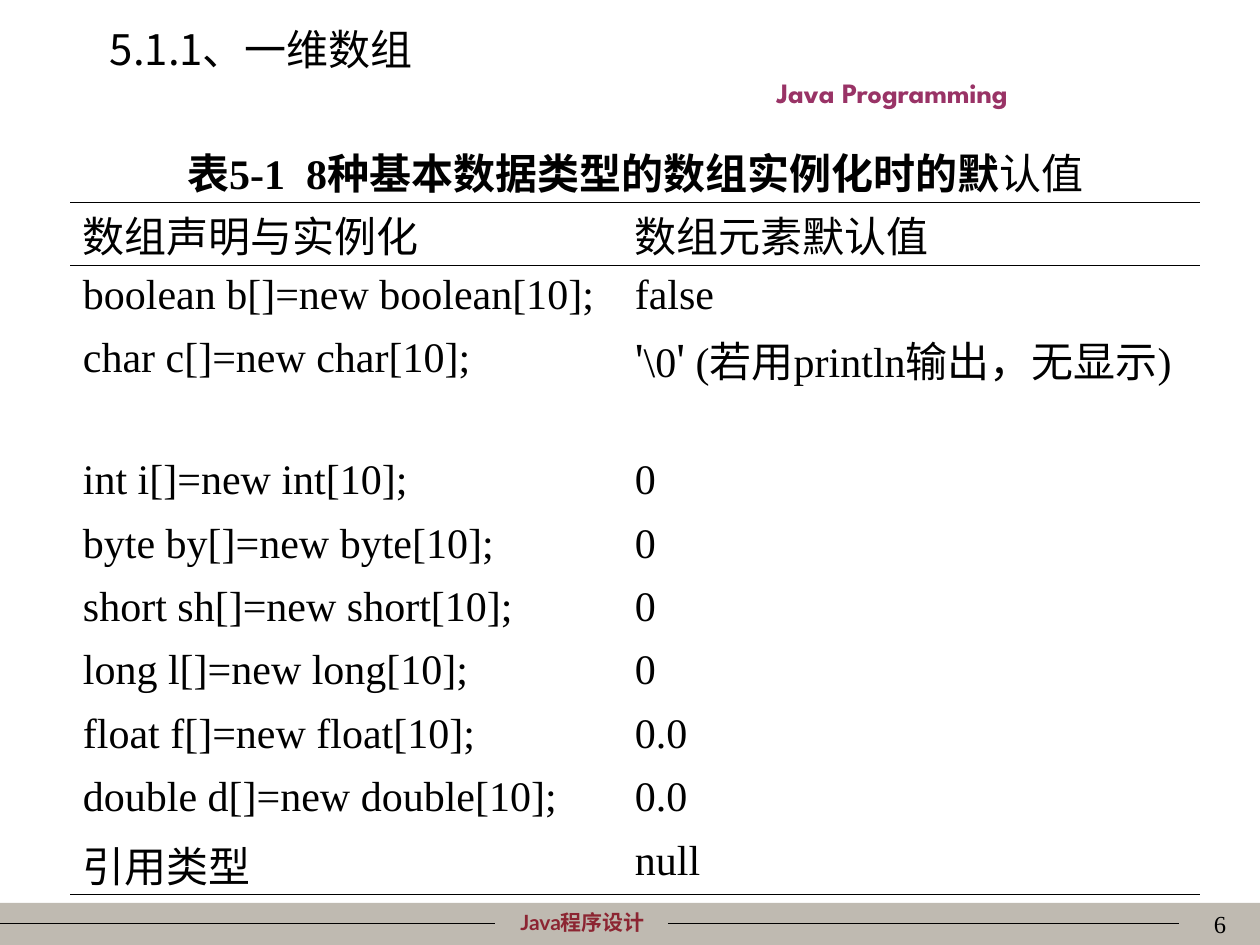
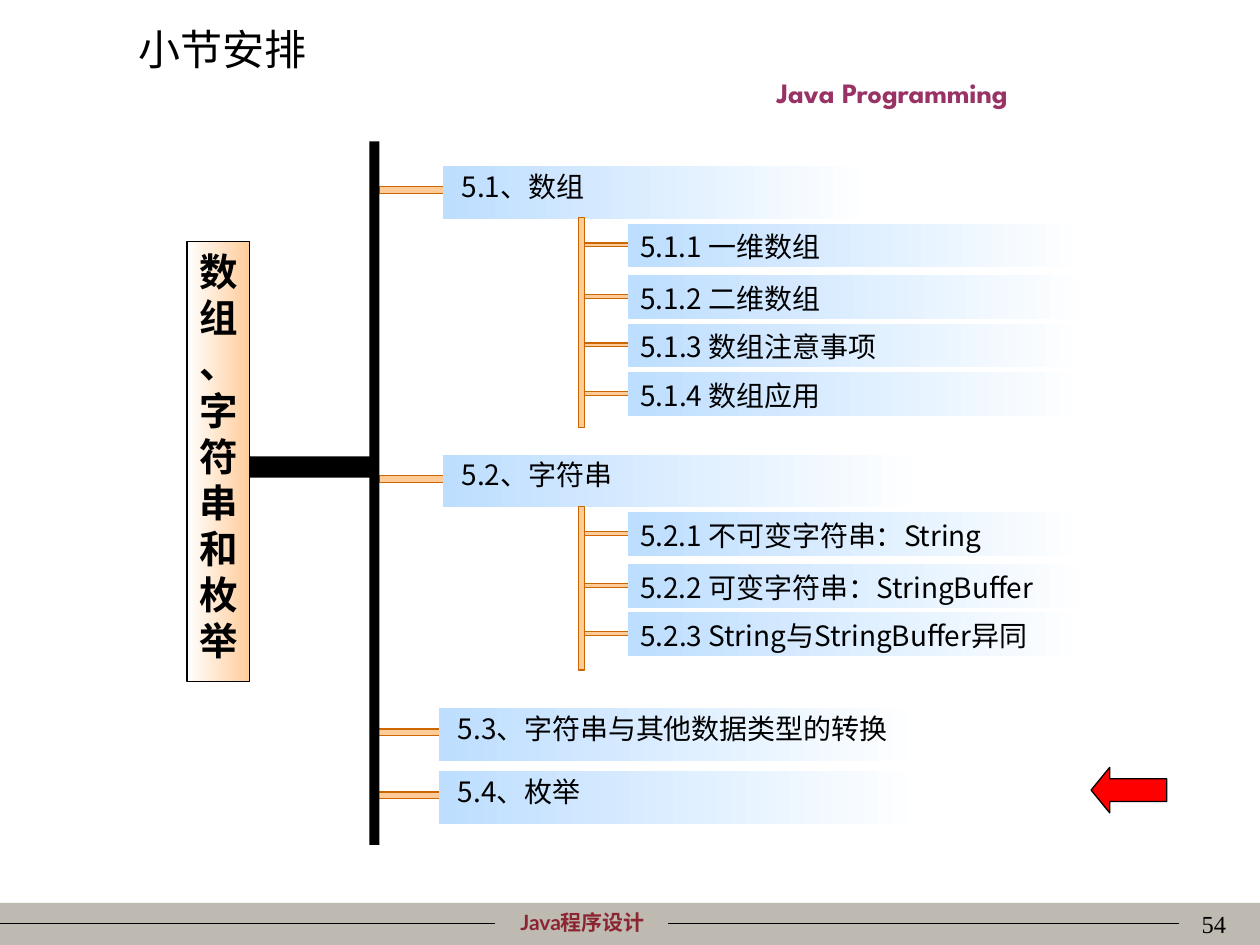
from lxml import etree
from pptx import Presentation
from pptx.dml.color import RGBColor
from pptx.enum import shapes, text
from pptx.oxml import ns
from pptx.util import Pt

THEME = {
    "black": "000000", "white": "FFFFFF", "band": "BFBAB1", "footer": "8C2532",
    "course": "993366", "peach": "FFCC99", "brown": "CC6600", "blue": "BDDEFF",
    "red": "FF0000",
    "sans": "Noto Sans CJK SC", "serif": "Times New Roman",
    "footer_font": "Lato", "course_font": "League Spartan",
    "title_size": 24, "quote_size": 28, "root_size": 22, "item_size": 16,
    "page_size": 14, "footer_size": 12,
}
LEFT, CENTER, RIGHT = text.PP_ALIGN.LEFT, text.PP_ALIGN.CENTER, text.PP_ALIGN.RIGHT
TOP, MIDDLE = text.MSO_ANCHOR.TOP, text.MSO_ANCHOR.MIDDLE
RECT = shapes.MSO_SHAPE.RECTANGLE
NO_STYLE = "{2D5ABB26-0587-4C30-8999-92F81FD0307C}"


def write(tf, runs, font, color="black", align=LEFT, anchor=MIDDLE, inset=7.2, top=0):
    """Fill a frame with one paragraph of (text, size, bold) runs."""
    tf.word_wrap = True
    tf.auto_size = text.MSO_AUTO_SIZE.NONE
    tf.vertical_anchor = anchor
    tf.margin_left, tf.margin_right = Pt(inset), Pt(7.2)
    tf.margin_top, tf.margin_bottom = Pt(top), Pt(0)
    p = tf.paragraphs[0]
    p.alignment = align
    p.space_before = Pt(0)
    for words, size, bold in runs:
        r = p.add_run()
        r.text = words
        r.font.name = THEME[font]
        r.font.size = Pt(size)
        r.font.bold = bold
        r.font.color.rgb = RGBColor.from_string(THEME[color])
        latin = r.font._element.find(ns.qn("a:latin"))
        ea = etree.Element(ns.qn("a:ea"), typeface=THEME["sans"])
        latin.addnext(ea)
    return p


def block(s, left, top, width, height, fill, line=None, fade=None, kind=RECT):
    """Add a flat shape; fade names the colour its fill runs into."""
    sp = s.shapes.add_shape(kind, Pt(left), Pt(top), Pt(width), Pt(height))
    sp.shadow.inherit = False
    if fade:
        sp.fill.gradient()
        sp.fill.gradient_angle = 0
        for stop, name in zip(sp.fill.gradient_stops, (fill, fade)):
            stop.color.rgb = RGBColor.from_string(THEME[name])
    else:
        sp.fill.solid()
        sp.fill.fore_color.rgb = RGBColor.from_string(THEME[fill])
    if line:
        sp.line.color.rgb = RGBColor.from_string(THEME[line])
        sp.line.width = Pt(0.75)
    else:
        sp.line.fill.background()
    return sp


prs = Presentation()
prs.slide_width, prs.slide_height = Pt(720), Pt(540)

# Title, footer band and page number of both slides
for title, page, title_left, title_width in (
    ("5.1.1、一维数组", "6", 55.5, 612),
    ("小节安排", "54", 72, 205),
):
    s = prs.slides.add_slide(prs.slide_layouts[5])
    sp = s.shapes.title
    sp.left, sp.top, sp.width, sp.height = Pt(title_left), Pt(9.4), Pt(title_width), Pt(36)
    write(sp.text_frame, [(title, THEME["title_size"], False)], "sans", top=1)

    block(s, 0, 516, 720, 24, "band")
    for start, end in ((0, 283), (381.6, 674)):
        rule = s.shapes.add_connector(
            shapes.MSO_CONNECTOR.STRAIGHT, Pt(start), Pt(527.8), Pt(end), Pt(527.8))
        rule.line.color.rgb = RGBColor.from_string(THEME["black"])
        rule.line.width = Pt(0.75)
        etree.SubElement(rule._element.spPr, ns.qn("a:effectLst"))
    for words, left, top, width, height, font, size, bold, color, align, anchor, inset in (
        ("Java程序设计", 260.6, 516, 144.7, 21.6, "footer_font", "footer_size",
         True, "footer", CENTER, MIDDLE, 0),
        ("Java Programming", 365.5, 39.6, 288.7, 26.6, "course_font", "item_size",
         True, "course", CENTER, TOP, 3.6),
        (page, 558, 516.2, 149.8, 23.8, "serif", "page_size",
         False, "black", RIGHT, TOP, 3.6),
    ):
        box = s.shapes.add_textbox(Pt(left), Pt(top), Pt(width), Pt(height))
        write(box.text_frame, [(words, THEME[size], bold)], font, color, align, anchor, top=inset)

array_slide, outline_slide = prs.slides

# Default values of array elements
size, quote = THEME["title_size"], THEME["quote_size"]
null_char = [("'", quote, False), ("\\0", size, False), ("'", quote, False),
             (" (若用println输出，无显示)", size, False)]
rows = [
    ("数组声明与实例化", "数组元素默认值"),
    ("boolean b[]=new boolean[10];", "false"),
    ("char c[]=new char[10];", null_char),
    ("int i[]=new int[10];", "0"),
    ("byte by[]=new byte[10];", "0"),
    ("short sh[]=new short[10];", "0"),
    ("long l[]=new long[10];", "0"),
    ("float f[]=new float[10];", "0.0"),
    ("double d[]=new double[10];", "0.0"),
    ("引用类型", "null"),
]
frame = array_slide.shapes.add_table(len(rows) + 1, 2, Pt(40.2), Pt(79.2), Pt(645.4), Pt(404))
table = frame.table
table.first_row = table.horz_banding = False
table._tbl.tblPr.find(ns.qn("a:tableStyleId")).text = NO_STYLE
table.columns[0].width, table.columns[1].width = Pt(315.4), Pt(330)
for i, row in enumerate(table.rows):
    row.height = Pt(69.8 if i == 3 else 36.25)

caption = table.cell(0, 0)
caption.merge(table.cell(0, 1))
cells = [(caption, [("表5-1  8种基本数据类型的数组实例化时的默", size, True),
                    ("认值", size, False)], CENTER)]
for i, values in enumerate(rows, 1):
    for j, value in enumerate(values):
        runs = [(value, size, False)] if isinstance(value, str) else value
        cells.append((table.cell(i, j), runs, LEFT))
for cell, runs, align in cells:
    p = cell.text_frame.paragraphs[0]
    p.alignment = align
    cell.vertical_anchor = TOP
    cell.margin_left = cell.margin_right = Pt(7.2)
    # Chinese lines are taller, so they get less room above to keep the row height
    if runs is null_char:
        cell.margin_top = Pt(0)
    else:
        cell.margin_top = Pt(3.6 if runs[0][0].isascii() else 1.2)
    cell.margin_bottom = Pt(0)
    for words, run_size, bold in runs:
        r = p.add_run()
        r.text = words
        r.font.name = THEME["serif"]
        r.font.size = Pt(run_size)
        r.font.bold = bold
        r.font.color.rgb = RGBColor.from_string(THEME["black"])

# Every edge is set, so that only the three rules are drawn
ruled = {"a:lnT": (1, 2), "a:lnB": (0, 1, len(rows))}
for i in range(len(rows) + 1):
    for j in range(2):
        cell = table.cell(i, j)
        cell.fill.background()
        tc_pr = cell._tc.get_or_add_tcPr()
        for position, (tag, lines) in enumerate(ruled.items()):
            edge = etree.Element(ns.qn(tag), w=str(Pt(0.45)))
            if i in lines:
                fill = etree.SubElement(edge, ns.qn("a:solidFill"))
                etree.SubElement(fill, ns.qn("a:srgbClr"), val=THEME["black"])
            else:
                etree.SubElement(edge, ns.qn("a:noFill"))
            tc_pr.insert(position, edge)

# Chapter outline: root, trunk, sections and their topics
s = outline_slide
root = block(s, 106.8, 138.2, 36, 251.3, "white", "black", fade="peach")
p = write(root.text_frame, [("数组、字符串和枚举", THEME["root_size"], True)],
          "sans", align=CENTER, anchor=TOP, top=3.6)
p.line_spacing = Pt(26.4)
p_pr = p._p.get_or_add_pPr()
p_pr.set("eaLnBrk", "0")
p_pr.set("hangingPunct", "0")
block(s, 142.6, 260.8, 72, 12.2, "black")

sections = [
    ("5.1、数组", 253, 95, 245.5, 120,
     ["5.1.1 一维数组", "5.1.2 二维数组", "5.1.3 数组注意事项", "5.1.4 数组应用"]),
    ("5.2、字符串", 253, 260, 276, 93.6,
     ["5.2.1 不可变字符串：String", "5.2.2 可变字符串：StringBuffer",
      "5.2.3 String与StringBuffer异同"]),
    ("5.3、字符串与其他数据类型的转换", 250.8, 404.8, 276, 0, []),
    ("5.4、枚举", 250.8, 440.8, 276, 0, []),
]
topic_places = [(0, 263), (29.6, 265.5), (57.2, 262), (85, 262)]
for name, left, top, width, branch_height, topics in sections:
    block(s, left - 36, top + 11.7, 37, 4, "peach", "brown")
    sp = block(s, left, top, width, 30, "blue", fade="white")
    write(sp.text_frame, [(name, THEME["item_size"], False)], "sans",
          anchor=TOP, inset=10.8, top=1.7)
    for topic, (offset, topic_width) in zip(topics, topic_places):
        topic_top = top + 32.8 + offset
        block(s, 332, topic_top + 11, 37, 2.2, "peach", "brown")
        sp = block(s, 358.8, topic_top, topic_width, 25, "blue", fade="white")
        write(sp.text_frame, [(topic, THEME["item_size"], False)], "sans", top=1.4)
    if topics:
        block(s, 330.5, top + 29.4, 3.6, branch_height, "peach", "brown")
block(s, 211, 80.8, 5.8, 402, "black")

arrow = block(s, 623.5, 438.5, 43.2, 26, "red", "black", kind=shapes.MSO_SHAPE.LEFT_ARROW)
arrow.adjustments[1] = 0.41

prs.save("out.pptx")
